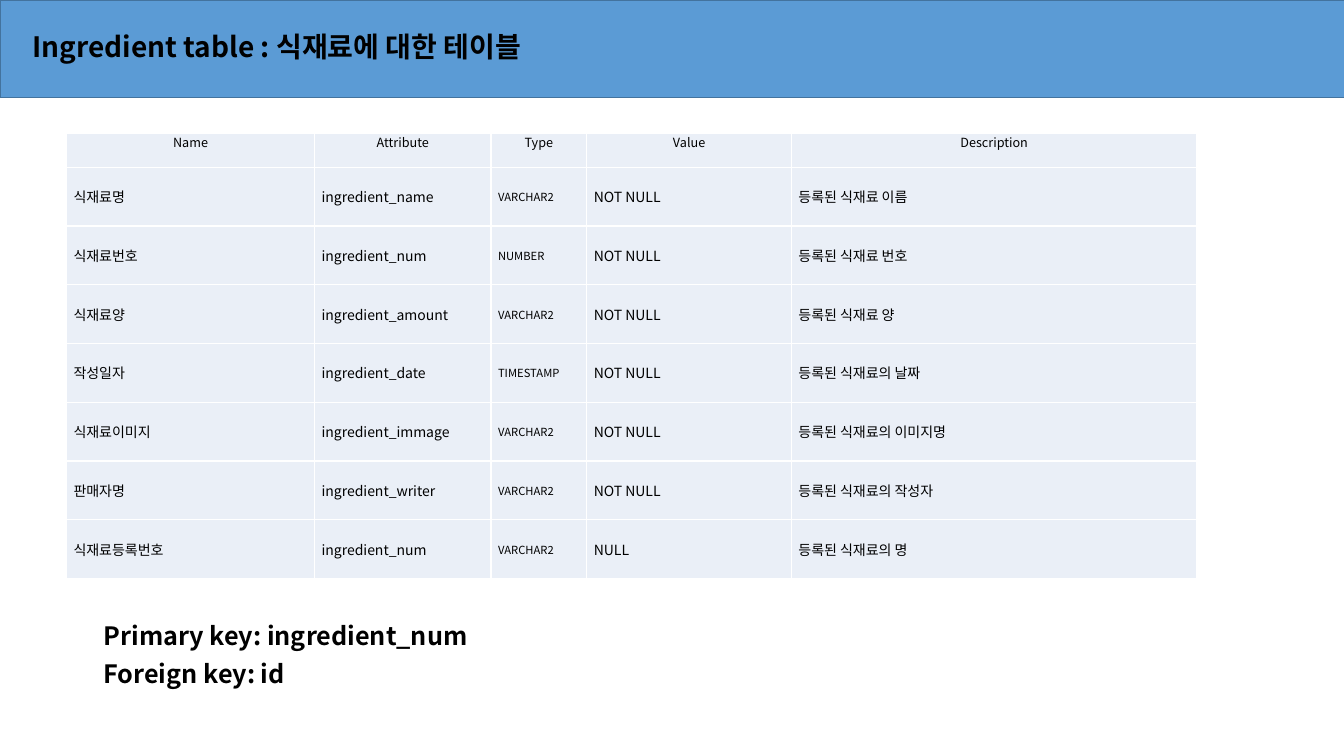
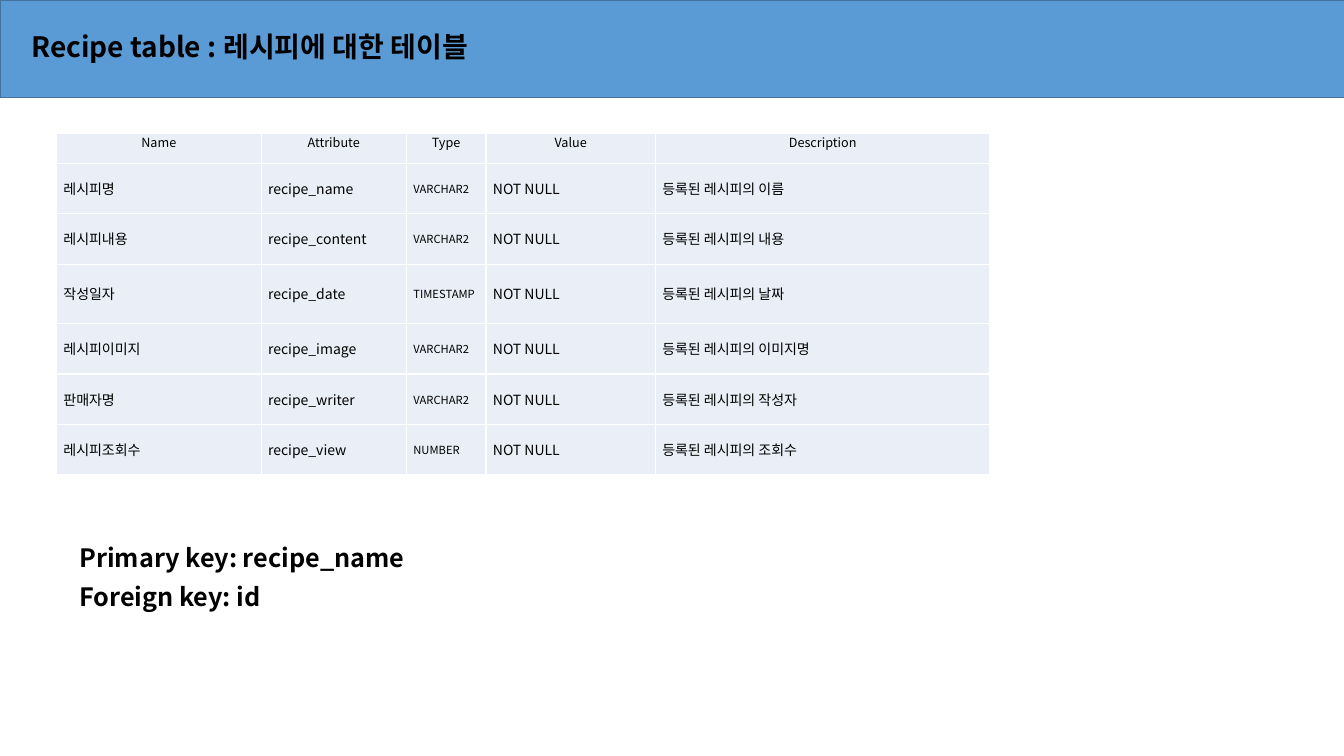
"""Build two slides that describe database tables."""
from lxml.etree import SubElement
from pptx import Presentation
from pptx.dml.color import RGBColor
from pptx.enum.shapes import MSO_SHAPE
from pptx.enum.text import MSO_ANCHOR, MSO_AUTO_SIZE, PP_ALIGN
from pptx.oxml.ns import qn
from pptx.util import Inches, Pt

BLUE = RGBColor(0x5B, 0x9B, 0xD5)
EDGE = RGBColor(0x43, 0x73, 0x9E)
PALE = RGBColor(0xEA, 0xEF, 0xF7)
BLACK = RGBColor(0, 0, 0)
FONT = "Noto Sans CJK KR"

HEAD = ["Name", "Attribute", "Type", "Value", "Description"]
SIZES = [10, 10, 8, 10, 10]
INSETS = {
    "margin_left": Inches(0.07),
    "margin_right": Inches(0.07),
    "margin_top": 0,
    "margin_bottom": 0,
}

PAGES = [
    {
        "title": "Ingredient table : 식재료에 대한 테이블",
        "indent": 0.22,
        "left": 0.66,
        "cols": [2.46, 1.75, 0.95, 2.03, 4.02],
        "heights": [0.34] + [4.08 / 7] * 7,
        "rows": [
            ["식재료명", "ingredient_name", "VARCHAR2", "NOT NULL", "등록된 식재료 이름"],
            ["식재료번호", "ingredient_num", "NUMBER", "NOT NULL", "등록된 식재료 번호"],
            ["식재료양", "ingredient_amount", "VARCHAR2", "NOT NULL", "등록된 식재료 양"],
            ["작성일자", "ingredient_date", "TIMESTAMP", "NOT NULL", "등록된 식재료의 날짜"],
            ["식재료이미지", "ingredient_immage", "VARCHAR2", "NOT NULL", "등록된 식재료의 이미지명"],
            ["판매자명", "ingredient_writer", "VARCHAR2", "NOT NULL", "등록된 식재료의 작성자"],
            ["식재료등록번호", "ingredient_num", "VARCHAR2", "NULL", "등록된 식재료의 명"],
        ],
        "keys": ["Primary key: ingredient_num", "Foreign key: id"],
        "spot": (0.37, 6.1),
    },
    {
        "title": "Recipe table : 레시피에 대한 테이블",
        "indent": 0.21,
        "left": 0.56,
        "cols": [2.03, 1.44, 0.79, 1.68, 3.32],
        "heights": [0.3, 0.5, 0.5, 0.59, 0.5, 0.5, 0.5],
        "rows": [
            ["레시피명", "recipe_name", "VARCHAR2", "NOT NULL", "등록된 레시피의 이름"],
            ["레시피내용", "recipe_content", "VARCHAR2", "NOT NULL", "등록된 레시피의 내용"],
            ["작성일자", "recipe_date", "TIMESTAMP", "NOT NULL", "등록된 레시피의 날짜"],
            ["레시피이미지", "recipe_image", "VARCHAR2", "NOT NULL", "등록된 레시피의 이미지명"],
            ["판매자명", "recipe_writer", "VARCHAR2", "NOT NULL", "등록된 레시피의 작성자"],
            ["레시피조회수", "recipe_view", "NUMBER", "NOT NULL", "등록된 레시피의 조회수"],
        ],
        "keys": ["Primary key: recipe_name", "Foreign key: id"],
        "spot": (0.13, 5.33),
    },
]


def assign(item, values):
    for name, value in values.items():
        setattr(item, name, value)


def write(para, text, size, bold=False, **layout):
    assign(para, layout)
    run = para.add_run()
    run.text = text
    assign(run.font, {"name": FONT, "size": Pt(size), "bold": bold})
    run.font.color.rgb = BLACK
    SubElement(run._r.get_or_add_rPr(), qn("a:ea"), typeface=FONT)


deck = Presentation()
assign(deck, {"slide_width": Inches(13.33), "slide_height": Inches(7.5)})

for page in PAGES:
    slide = deck.slides.add_slide(deck.slide_layouts[5])
    shapes = slide.shapes

    band = shapes.add_shape(MSO_SHAPE.RECTANGLE, 0, 0, Inches(13.45), Inches(0.97))
    band.shadow.inherit = False
    band.fill.solid()
    band.fill.fore_color.rgb = BLUE
    band.line.color.rgb = EDGE
    band.line.width = Pt(1)
    shapes._spTree.insert(2, band._element)

    title = shapes.title
    assign(title, {
        "left": Inches(page["indent"]),
        "top": Inches(0.2),
        "width": Inches(10.16),
        "height": Inches(0.57),
    })
    title.text_frame.vertical_anchor = MSO_ANCHOR.MIDDLE
    write(title.text_frame.paragraphs[0], page["title"], 20, True,
          alignment=PP_ALIGN.LEFT, line_spacing=0.9)

    cols, heights = page["cols"], page["heights"]
    table = shapes.add_table(
        len(heights), len(cols), Inches(page["left"]), Inches(1.32),
        Inches(sum(cols)), Inches(sum(heights))).table
    assign(table, {"first_row": False, "horz_banding": False})
    for col, width in zip(table.columns, cols):
        col.width = Inches(width)
    for row, height in zip(table.rows, heights):
        row.height = Inches(height)
    for r, texts in enumerate([HEAD] + page["rows"]):
        for c, text in enumerate(texts):
            cell = table.cell(r, c)
            assign(cell, INSETS)
            cell.vertical_anchor = MSO_ANCHOR.MIDDLE if r else MSO_ANCHOR.TOP
            cell.fill.solid()
            cell.fill.fore_color.rgb = PALE
            write(cell.text_frame.paragraphs[0], text, SIZES[c] if r else 9,
                  alignment=PP_ALIGN.LEFT if r else PP_ALIGN.CENTER,
                  space_after=Pt(6))

    left, top = page["spot"]
    box = shapes.add_textbox(Inches(left), Inches(top), Inches(6.67), Inches(0.79))
    frame = box.text_frame
    assign(frame, {"word_wrap": True, "auto_size": MSO_AUTO_SIZE.SHAPE_TO_FIT_TEXT})
    for n, key in enumerate(page["keys"]):
        para = frame.add_paragraph() if n else frame.paragraphs[0]
        para._p.get_or_add_pPr().set("indent", str(Inches(0.56)))
        write(para, key, 18, True, alignment=PP_ALIGN.JUSTIFY, space_after=Pt(6))

deck.save("out.pptx")
